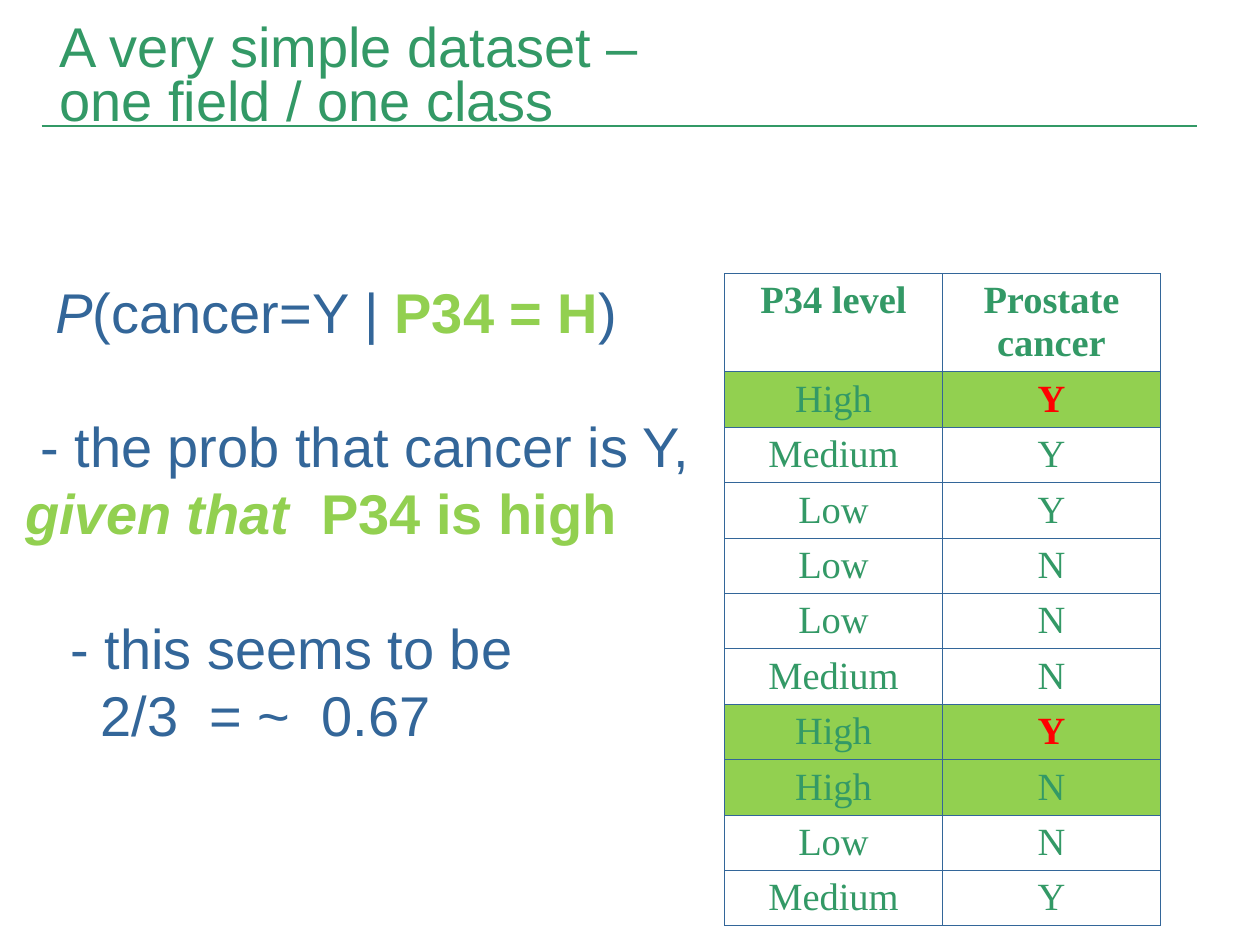
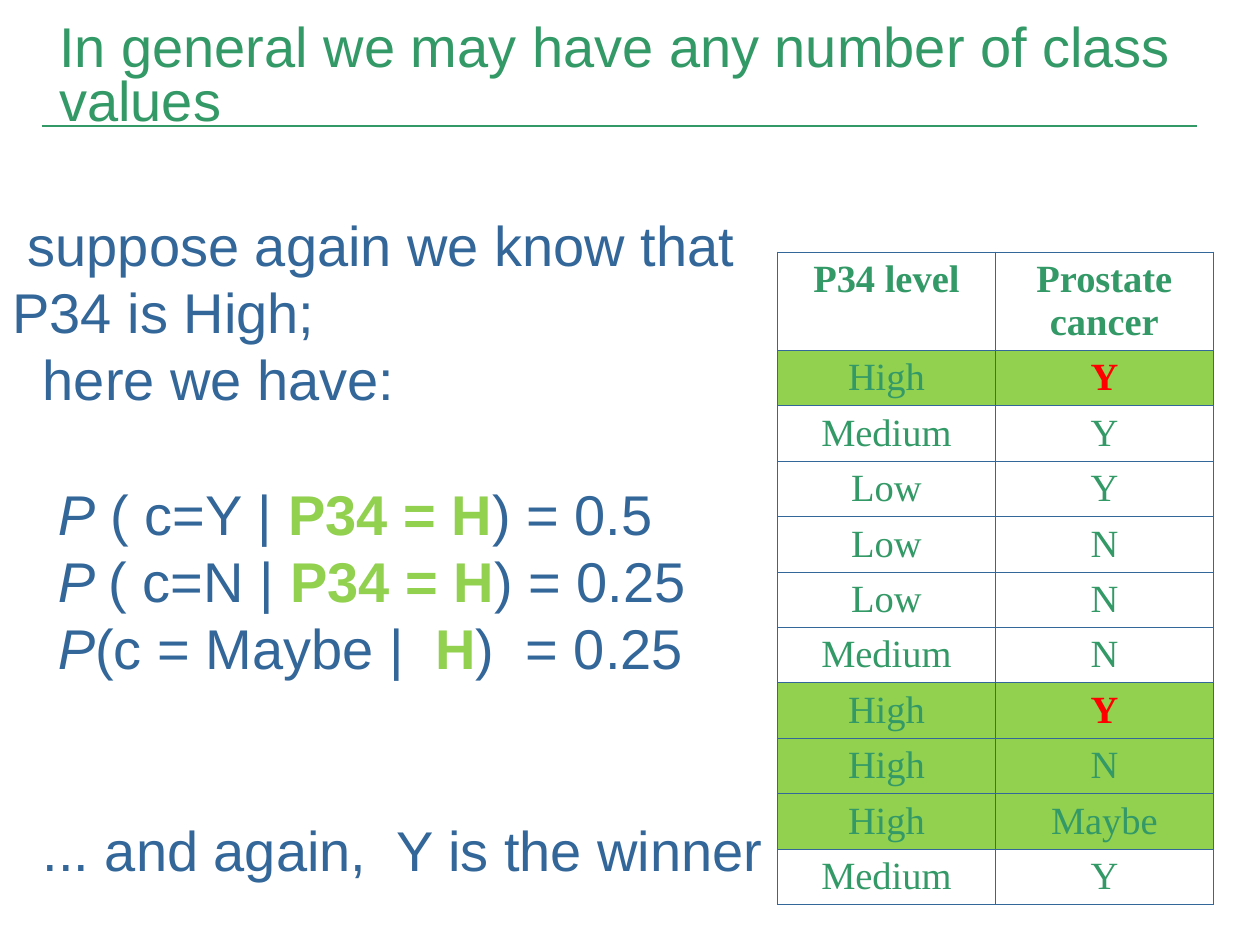
from pptx import Presentation
from pptx.dml.color import RGBColor
from pptx.enum.shapes import MSO_CONNECTOR
from pptx.enum.text import MSO_ANCHOR, PP_ALIGN
from pptx.oxml import parse_xml
from pptx.oxml.ns import nsdecls
from pptx.util import Inches, Pt

GREEN = RGBColor(0x33, 0x99, 0x66)
BLUE = RGBColor(0x33, 0x66, 0x99)
LIME = RGBColor(0x92, 0xD0, 0x50)
RED = RGBColor(0xFF, 0x00, 0x00)
WHITE = RGBColor(0xFF, 0xFF, 0xFF)

# Run styles: colour, bold, italic
PLAIN = (BLUE, False, False)
VAR = (BLUE, False, True)
KEY = (LIME, True, False)
GIVEN = (LIME, True, True)
TITLE = (GREEN, False, False)
HEAD = (GREEN, True, False)
HIT = (RED, True, False)

LINE = 38.4   # body line pitch, points
STEP = 0.12   # one indent level, inches

# Content: each body line is (indent levels, blank lines above, runs)
HEADER = ("P34 level", "Prostate cancer")
ROWS = [("High", "Y"), ("Medium", "Y"), ("Low", "Y"), ("Low", "N"),
        ("Low", "N"), ("Medium", "N"), ("High", "Y"), ("High", "N")]
SLIDES = [
    {
        "title": "A very simple dataset –\vone field / one class",
        "body": [
            (3, 0, [("P", VAR), ("(cancer=Y | ", PLAIN), ("P34 = H", KEY), (")", PLAIN)]),
            (2, 1, [("- the prob that cancer is Y,", PLAIN)]),
            (1, 0, [("given that", GIVEN), ("  P34 is high", KEY)]),
            (4, 1, [("- this seems to be", PLAIN)]),
            (6, 0, [("2/3  = ~  0.67", PLAIN)]),
        ],
        "box": (-0.01, 2.16, 5.7, 4),
        "table": (5.75, 2.17),
        "rows": ROWS + [("Low", "N"), ("Medium", "Y")],
    },
    {
        "title": "In general we may have any number of class values",
        "body": [
            (1, 0, [("suppose again we know that", PLAIN)]),
            (0, 0, [("P34 is High;", PLAIN)]),
            (2, 0, [("here we have:", PLAIN)]),
            (3, 1, [("P", VAR), (" ( c=Y | ", PLAIN), ("P34 = H", KEY), (") = 0.5", PLAIN)]),
            (3, 0, [("P ", VAR), ("( c=N | ", PLAIN), ("P34 = H", KEY), (") = 0.25", PLAIN)]),
            (3, 0, [("P", VAR), ("(c = Maybe |  ", PLAIN), ("H", KEY), (")  = 0.25", PLAIN)]),
            (2, 2, [("... and again,  Y is the winner", PLAIN)]),
        ],
        "box": (0.01, 1.63, 6.3, 5.5),
        "table": (6.17, 2),
        "rows": ROWS + [("High", "Maybe"), ("Medium", "Y")],
    },
]


def write(frame, lines, size=32, font="Arial", align=PP_ALIGN.LEFT, pitch=None):
    """Fill a text frame with (indent, blank lines above, runs) lines."""
    frame.word_wrap = True
    for i, (level, gap, runs) in enumerate(lines):
        para = frame.paragraphs[0] if i == 0 else frame.add_paragraph()
        para.alignment = align
        para.space_before = Pt(gap * LINE)
        if pitch:
            para.line_spacing = pitch
        if level:
            para._p.get_or_add_pPr().set("marL", str(Inches(level * STEP)))
        for text, (color, bold, slant) in runs:
            for j, part in enumerate(text.split("\v")):
                if j:
                    para.add_line_break()
                run = para.add_run()
                run.text = part
                face = run.font
                face.name, face.size = font, Pt(size)
                face.bold, face.italic = bold, slant
                face.color.rgb = color


def add_title(slide, text):
    # Title and the rule below it
    rule = slide.shapes.add_connector(
        MSO_CONNECTOR.STRAIGHT, Inches(0.33), Inches(1), Inches(9.5), Inches(1))
    rule.line.color.rgb = GREEN
    rule.line.width = Pt(1)
    rule._element.spPr.append(parse_xml(f"<a:effectLst {nsdecls('a')}/>"))
    head = slide.shapes.title
    head.left, head.top = Inches(0.37), Inches(0)
    head.width, head.height = Inches(9.63), Inches(1.25)
    head.text_frame.vertical_anchor = MSO_ANCHOR.MIDDLE
    write(head.text_frame, [(0, 0, [(text, TITLE)])], pitch=0.8)


def add_border(cell):
    props = cell._tc.get_or_add_tcPr()
    for i, side in enumerate(("lnL", "lnR", "lnT", "lnB")):
        props.insert(i, parse_xml(
            f'<a:{side} {nsdecls("a")} w="{Pt(0.45)}"><a:solidFill>'
            f'<a:srgbClr val="{BLUE}"/></a:solidFill></a:{side}>'))


def add_grid(slide, left, top, rows):
    # Records table: rows with a high level are marked
    heights = [0.78] + [0.44] * len(rows)
    grid = slide.shapes.add_table(
        len(heights), 2, Inches(left), Inches(top),
        Inches(3.46), Inches(sum(heights))).table
    for col in grid.columns:
        col.width = Inches(1.73)
    for r, record in enumerate([HEADER] + rows):
        grid.rows[r].height = Inches(heights[r])
        high = record[0] == "High"
        for c, text in enumerate(record):
            cell = grid.cell(r, c)
            cell.fill.solid()
            cell.fill.fore_color.rgb = LIME if high else WHITE
            add_border(cell)
            style = HEAD if r == 0 else HIT if high and text == "Y" else TITLE
            write(cell.text_frame, [(0, 0, [(text, style)])], size=22,
                  font="Times New Roman", align=PP_ALIGN.CENTER)


def add_body(slide, box, lines):
    frame = slide.shapes.add_textbox(*map(Inches, box)).text_frame
    frame.margin_left = frame.margin_right = Inches(0.09)
    frame.margin_top = frame.margin_bottom = Inches(0.04)
    write(frame, lines, pitch=Pt(LINE))


def main():
    deck = Presentation()
    deck.slide_width, deck.slide_height = Inches(10), Inches(7.5)
    for data in SLIDES:
        slide = deck.slides.add_slide(deck.slide_layouts[5])
        add_title(slide, data["title"])
        add_grid(slide, *data["table"], data["rows"])
        add_body(slide, data["box"], data["body"])
    deck.save("out.pptx")


if __name__ == "__main__":
    main()
